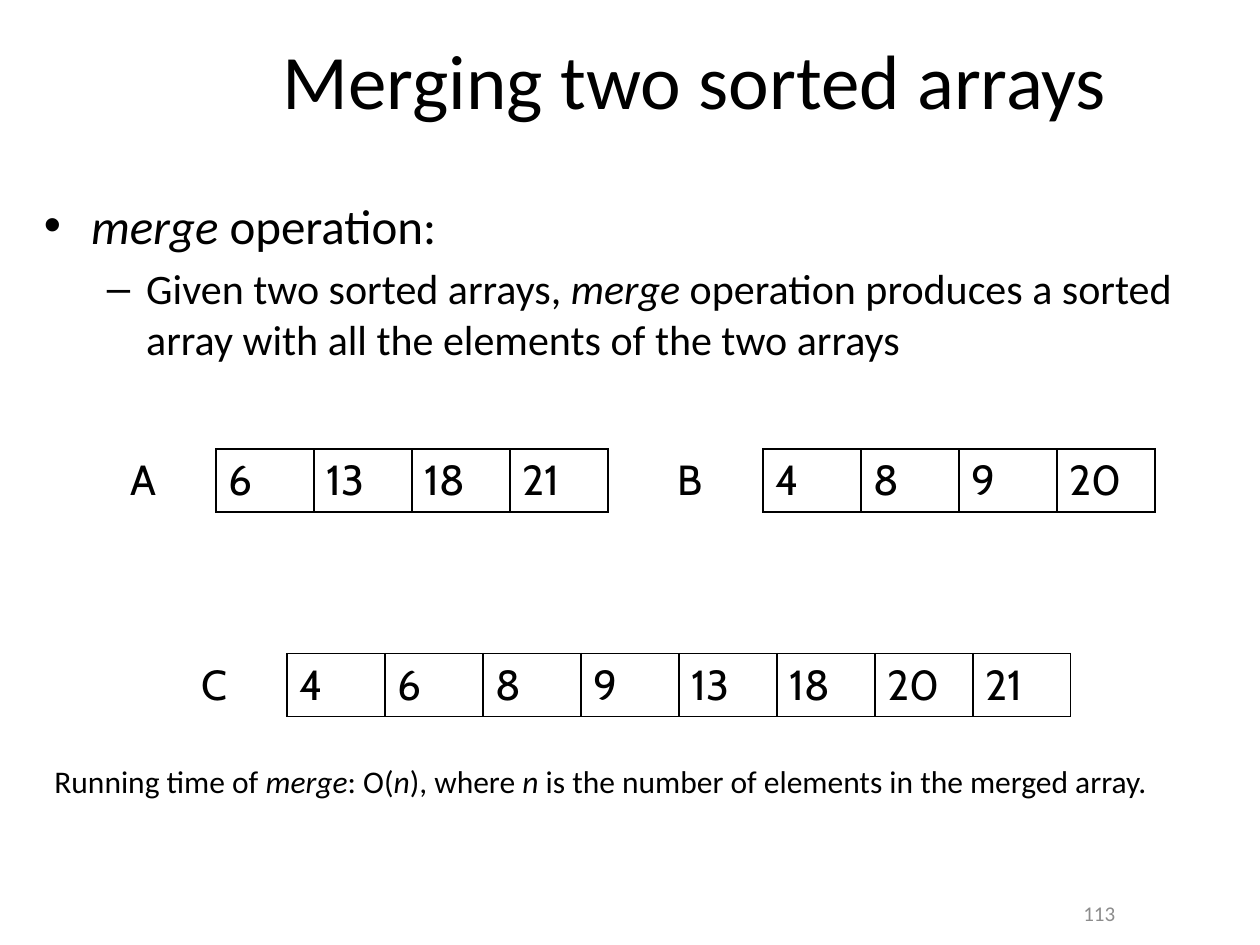
"""Build a slide showing how two sorted arrays merge into one."""
from lxml import etree
from pptx import Presentation
from pptx.dml import color
from pptx.enum import text
from pptx.oxml import ns
from pptx.util import Pt

BLACK = color.RGBColor(0x00, 0x00, 0x00)
GRAY = color.RGBColor(0x8C, 0x8C, 0x8C)
CELL_W, CELL_H = 56, 36


def add_text(s, left, top, width, height, paragraphs, rgb=BLACK):
    """Add a text box; each paragraph is a size and its runs, where *x* is italic."""
    tf = s.shapes.add_textbox(Pt(left), Pt(top), Pt(width), Pt(height)).text_frame
    tf.word_wrap = True
    for i, (size, content) in enumerate(paragraphs):
        p = tf.add_paragraph() if i else tf.paragraphs[0]
        for j, part in enumerate(content.split("*")):
            if part:
                r = p.add_run()
                r.text = part
                r.font.name, r.font.size = "Calibri", Pt(size)
                r.font.italic = j % 2 == 1
                r.font.color.rgb = rgb
    return tf


def set_border(cell, side, visible):
    """Draw or hide one side of a table cell."""
    ln = etree.Element(ns.qn(f"a:ln{side}"), w=str(Pt(1)))
    if visible:
        fill = etree.SubElement(ln, ns.qn("a:solidFill"))
        etree.SubElement(fill, ns.qn("a:srgbClr"), val=str(BLACK))
    else:
        etree.SubElement(ln, ns.qn("a:noFill"))
    cell._tc.get_or_add_tcPr().append(ln)


prs = Presentation()
prs.slide_width, prs.slide_height = Pt(720), Pt(540)
s = prs.slides.add_slide(prs.slide_layouts[6])

tf = add_text(s, 90, 12, 614, 66, [(44, "Merging two sorted arrays")])
tf.vertical_anchor = text.MSO_ANCHOR.MIDDLE
tf.paragraphs[0].alignment = text.PP_ALIGN.CENTER

tf = add_text(s, 18, 108, 678, 126, [
    (28, "*merge *operation:"),
    (24, "Given two sorted arrays, *merge* operation produces a sorted "
         "array with all the elements of the two arrays"),
])
for p, bullet, margin, indent in zip(tf.paragraphs, "•–", (27, 58.5), (-27, -22.5)):
    pPr = p._p.get_or_add_pPr()
    pPr.set("marL", str(Pt(margin)))
    pPr.set("indent", str(Pt(indent)))
    etree.SubElement(pPr, ns.qn("a:buFont"), typeface="Arial")
    etree.SubElement(pPr, ns.qn("a:buChar"), char=bullet)
tf.paragraphs[1].level = 1
tf.paragraphs[1].space_before = Pt(5)

arrays = [
    (67.5, 256.5, ["A", 6, 13, 18, 21]),
    (380, 256.5, ["B", 4, 8, 9, 20]),
    (108, 373.5, ["C", 4, 6, 8, 9, 13, 18, 20, 21]),
]
for left, top, values in arrays:
    n = len(values)
    table = s.shapes.add_table(1, n, Pt(left), Pt(top), Pt(CELL_W * n), Pt(CELL_H)).table
    table.first_row = table.horz_banding = False
    for i, value in enumerate(values):
        table.columns[i].width = Pt(CELL_W)
        cell = table.cell(0, i)
        cell.vertical_anchor = text.MSO_ANCHOR.MIDDLE
        cell.text_frame.text = str(value)
        r = cell.text_frame.paragraphs[0].runs[0]
        r.font.name, r.font.size = "Cabin", Pt(24)
        r.font.color.rgb = BLACK
        for side in "LRTB":
            set_border(cell, side, i > 0 or side == "R")
        cell.fill.background()

add_text(s, 24, 432, 654, 65, [
    (18, "Running time of *merge*: O(*n*), where *n* is the number of elements in the merged array."),
])
tf = add_text(s, 612, 504, 108, 36, [(12, "113")], GRAY)
tf.vertical_anchor = text.MSO_ANCHOR.MIDDLE

prs.save("out.pptx")
